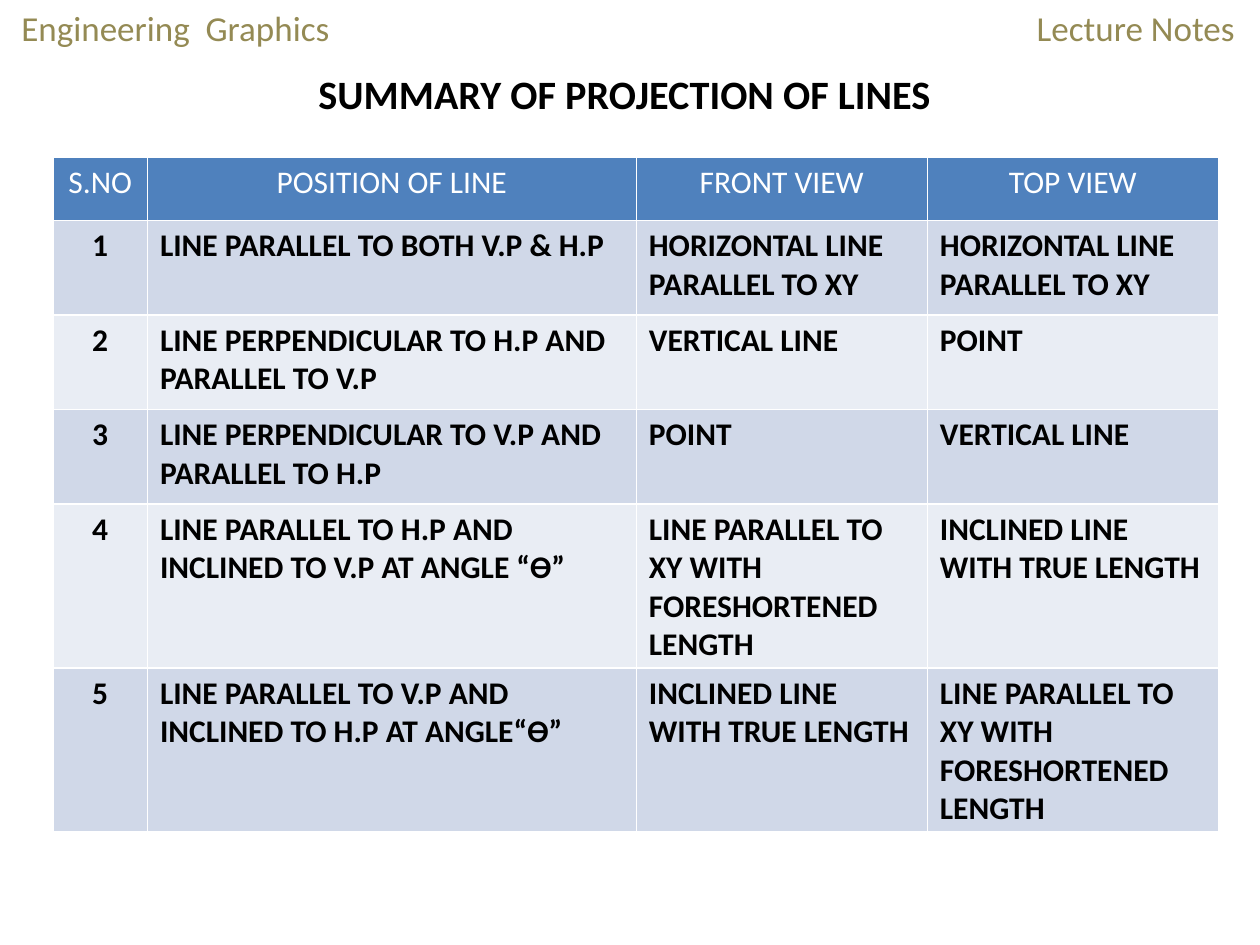
from pptx import Presentation
from pptx.dml.color import RGBColor
from pptx.enum.text import PP_ALIGN
from pptx.util import Inches, Pt
from lxml.etree import SubElement
from pptx.oxml.ns import qn

WHITE = RGBColor(0xFF, 0xFF, 0xFF)
BLACK = RGBColor(0x00, 0x00, 0x00)
OLIVE = RGBColor(0x94, 0x8A, 0x54)
BLUE = RGBColor(0x4F, 0x81, 0xBD)
BANDS = [RGBColor(0xE9, 0xED, 0xF4), RGBColor(0xD0, 0xD8, 0xE8)]


def set_text(frame, text, size, color, bold=False, align=PP_ALIGN.LEFT):
    frame.word_wrap = True
    para = frame.paragraphs[0]
    para.text = text
    para.alignment = align
    font = para.runs[0].font
    font.name = "Calibri"
    font.size = Pt(size)
    font.bold = bold
    font.color.rgb = color
    return para


deck = Presentation()
deck.slide_width, deck.slide_height = Inches(10), Inches(7.5)
slide = deck.slides.add_slide(deck.slide_layouts[6])

# Running header: course on the left, a right tab for the notes label
head = slide.shapes.add_textbox(0, 0, Inches(10), Inches(0.58)).text_frame
head.margin_left = Inches(0.17)
para = set_text(head, "Engineering  Graphics\tLecture Notes", 20, OLIVE)
tabs = SubElement(para._p.get_or_add_pPr(), qn("a:tabLst"))
SubElement(tabs, qn("a:tab"), pos=str(Inches(9.63)), algn="r")

# Title
title = slide.shapes.add_textbox(Inches(0.25), Inches(0.5), Inches(9.42), Inches(0.49))
set_text(title.text_frame, "SUMMARY OF PROJECTION OF LINES", 23, BLACK, True, PP_ALIGN.CENTER)

# Summary table
SHORT = "LINE PARALLEL TO XY WITH FORESHORTENED LENGTH"
TRUE = "INCLINED LINE WITH TRUE LENGTH"
LEVEL = "HORIZONTAL LINE PARALLEL TO XY"
rows = [
    ("S.NO", "POSITION OF LINE", "FRONT VIEW", "TOP VIEW"),
    ("1", "LINE PARALLEL TO BOTH V.P & H.P", LEVEL, LEVEL),
    ("2", "LINE PERPENDICULAR TO H.P AND PARALLEL TO V.P", "VERTICAL LINE", "POINT"),
    ("3", "LINE PERPENDICULAR TO V.P AND PARALLEL TO H.P", "POINT", "VERTICAL LINE"),
    ("4", "LINE PARALLEL TO H.P AND INCLINED TO V.P AT ANGLE “Ѳ”", SHORT, TRUE),
    ("5", "LINE PARALLEL TO V.P AND INCLINED TO H.P AT ANGLE“Ѳ”", TRUE, SHORT),
]
widths = [0.75, 3.88, 2.31, 2.31]
heights = [0.5, 0.75, 0.75, 0.75, 1.3, 1.3]
table = slide.shapes.add_table(
    len(rows), len(widths), Inches(0.42), Inches(1.25),
    Inches(sum(widths)), Inches(sum(heights))).table
for col, width in zip(table.columns, widths):
    col.width = Inches(width)
for r, (row, height) in enumerate(zip(rows, heights)):
    table.rows[r].height = Inches(height)
    for c, text in enumerate(row):
        cell = table.cell(r, c)
        cell.fill.solid()
        cell.fill.fore_color.rgb = BANDS[r % 2] if r else BLUE
        align = PP_ALIGN.CENTER if r == 0 or c == 0 else PP_ALIGN.LEFT
        set_text(cell.text_frame, text, 18, BLACK if r else WHITE, r > 0, align)

deck.save("out.pptx")
